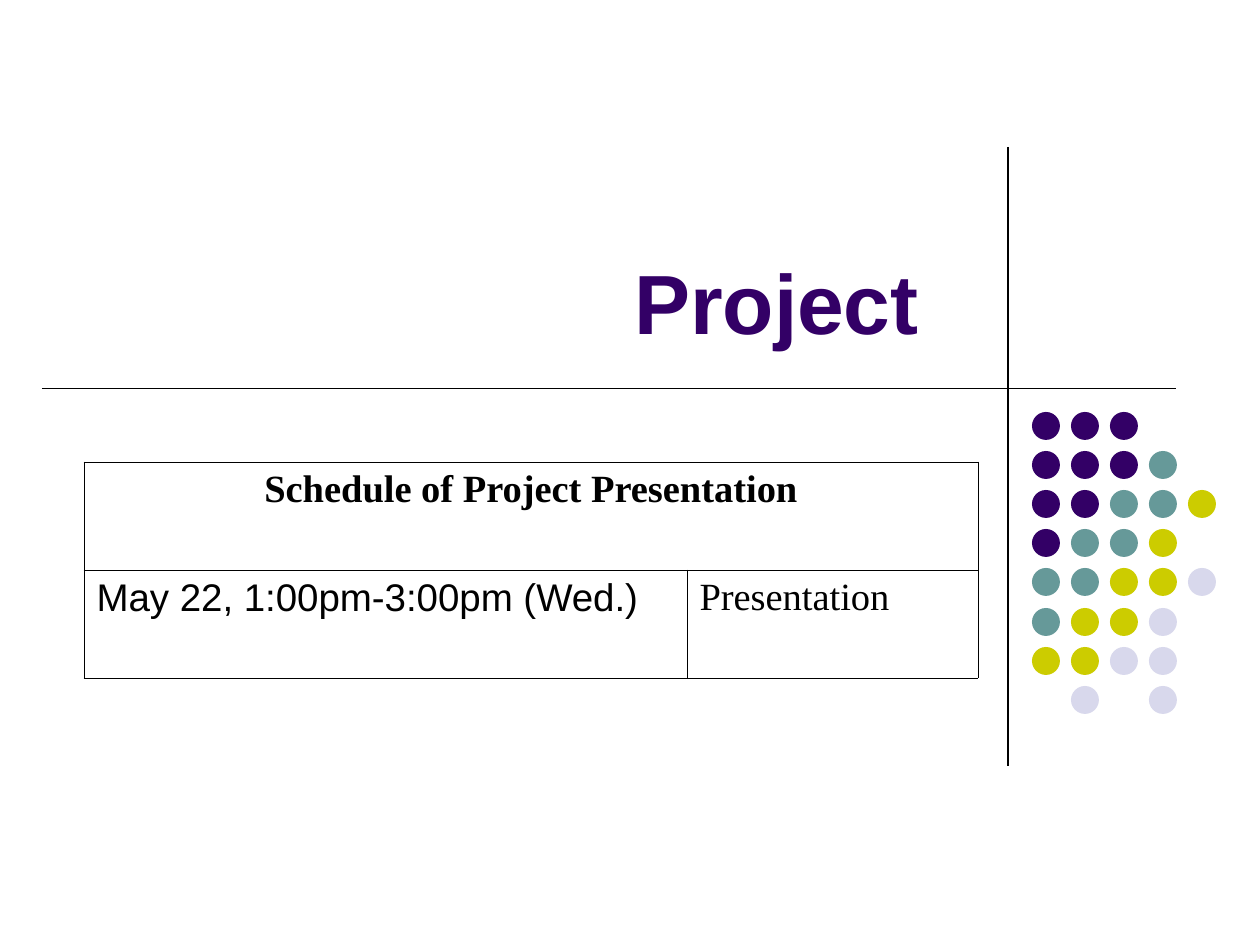
"""Build the project title slide with its schedule table and dot grid."""
from dataclasses import dataclass

from lxml.etree import SubElement
from pptx import Presentation
from pptx.dml.color import RGBColor as Color
from pptx.enum.shapes import MSO_CONNECTOR as Link, MSO_SHAPE as Shape
from pptx.enum.text import MSO_ANCHOR as Anchor, PP_ALIGN as Align
from pptx.oxml import parse_xml
from pptx.oxml.ns import nsdecls, qn
from pptx.util import Emu, Pt

SCALE = 914400 / 126
HUES = {
    "ink": "000000",
    "plum": "330066",
    "teal": "669999",
    "lime": "CCCC00",
    "mist": "D8D8EC",
}
KEYS = {"P": "plum", "T": "teal", "L": "lime", "M": "mist"}
DOTS = ("PPP", "PPPT", "PPTTL", "PTTL", "TTLLM", "TLLM", "LLMM", " M M")
TITLE = {"name": "Arial", "size": Pt(48), "bold": True}
HEAD = {"name": "Times New Roman", "size": Pt(22), "bold": True}
DATE = {"name": "Arial", "size": Pt(22), "bold": False}
EVENT = {"name": "Times New Roman", "size": Pt(22), "bold": False}


@dataclass
class Rule:
    x1: int
    y1: int
    x2: int
    y2: int
    weight: float


@dataclass
class Entry:
    row: int
    col: int
    text: str
    form: dict
    align: Align = Align.LEFT


RULES = (Rule(1008, 147, 1008, 766, 0.75), Rule(42, 388, 1176, 388, 0.5))
ENTRIES = (
    Entry(0, 0, "Schedule of Project Presentation", HEAD, Align.CENTER),
    Entry(1, 0, "May 22, 1:00pm-3:00pm (Wed.)", DATE),
    Entry(1, 1, "Presentation", EVENT),
)


def px(count: int) -> Emu:
    """Turn px into EMU."""
    return Emu(round(count * SCALE))


def hue(name: str) -> Color:
    """Look up a named colour."""
    return Color.from_string(HUES[name])


def write(frame, text: str, form: dict, tint: str, align: Align) -> None:
    """Put one styled line of text in a frame."""
    line = frame.paragraphs[0]
    line.alignment = align
    run = line.add_run()
    run.text = text
    for key, value in form.items():
        setattr(run.font, key, value)
    run.font.color.rgb = hue(tint)


def draw_rule(slide, rule: Rule) -> None:
    """Draw a thin straight line."""
    ends = map(px, (rule.x1, rule.y1, rule.x2, rule.y2))
    line = slide.shapes.add_connector(Link.STRAIGHT, *ends)
    line.line.color.rgb = hue("ink")
    line.line.width = Pt(rule.weight)
    SubElement(line._element.spPr, qn("a:effectLst"))


def draw_dots(slide) -> None:
    """Draw the grid of coloured dots."""
    for row, marks in enumerate(DOTS):
        for col, mark in enumerate(marks):
            if mark in KEYS:
                left, top = 1032 + col * 196 // 5, 412 + row * 196 // 5
                dot = slide.shapes.add_shape(Shape.OVAL, *map(px, (left, top, 28, 28)))
                dot.shadow.inherit = False
                dot.fill.solid()
                dot.fill.fore_color.rgb = hue(KEYS[mark])
                dot.line.fill.background()


def draw_title(slide) -> None:
    """Draw the title at the lower right of its box."""
    frame = slide.shapes.add_textbox(*map(px, (44, 64, 935, 294))).text_frame
    form = {"word_wrap": True, "vertical_anchor": Anchor.BOTTOM, "margin_right": px(60)}
    for key, value in form.items():
        setattr(frame, key, value)
    write(frame, "Project", TITLE, "plum", Align.RIGHT)


def frame_cell(cell) -> None:
    """Clear a cell's fill and give it thin borders."""
    cell.fill.background()
    props = cell._tc.get_or_add_tcPr()
    for spot, side in enumerate("LRTB"):
        edge = parse_xml(
            f'<a:ln{side} {nsdecls("a")} w="{Pt(0.45)}"><a:solidFill>'
            f'<a:srgbClr val="{HUES["ink"]}"/></a:solidFill></a:ln{side}>'
        )
        props.insert(spot, edge)


def draw_table(slide) -> None:
    """Draw the schedule table."""
    table = slide.shapes.add_table(2, 2, *map(px, (84, 462, 894, 216))).table
    table.first_row = table.horz_banding = False
    for col, width in zip(table.columns, (603, 291)):
        col.width = px(width)
    for cell in table.iter_cells():
        frame_cell(cell)
    table.cell(0, 0).merge(table.cell(0, 1))
    for item in ENTRIES:
        frame = table.cell(item.row, item.col).text_frame
        write(frame, item.text, item.form, "ink", item.align)


def main() -> None:
    """Build and save the slide."""
    deck = Presentation()
    deck.slide_width, deck.slide_height = px(1260), px(945)
    slide = deck.slides.add_slide(deck.slide_layouts[6])
    draw_rule(slide, RULES[0])
    draw_dots(slide)
    draw_rule(slide, RULES[1])
    draw_title(slide)
    draw_table(slide)
    deck.save("out.pptx")


if __name__ == "__main__":
    main()
